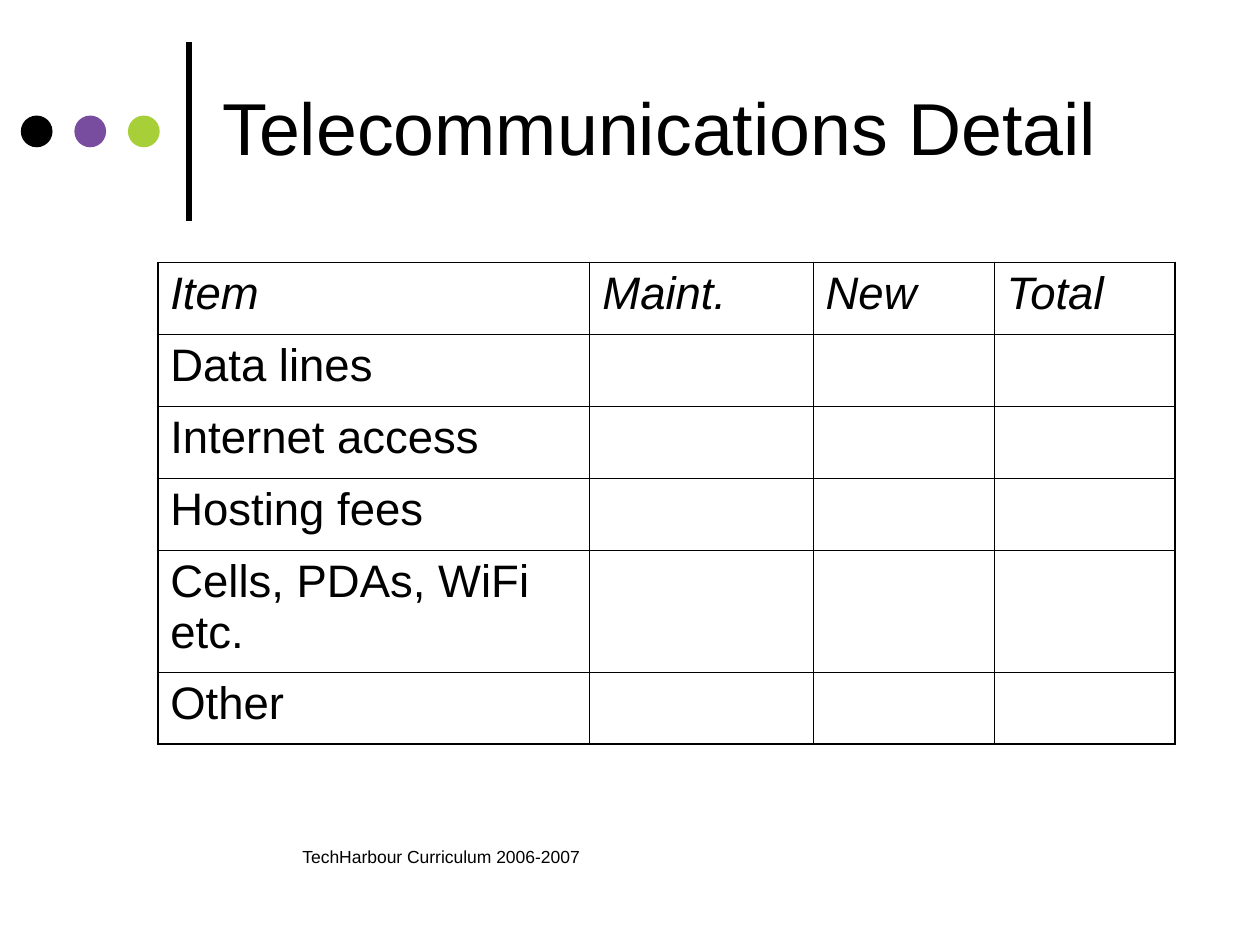
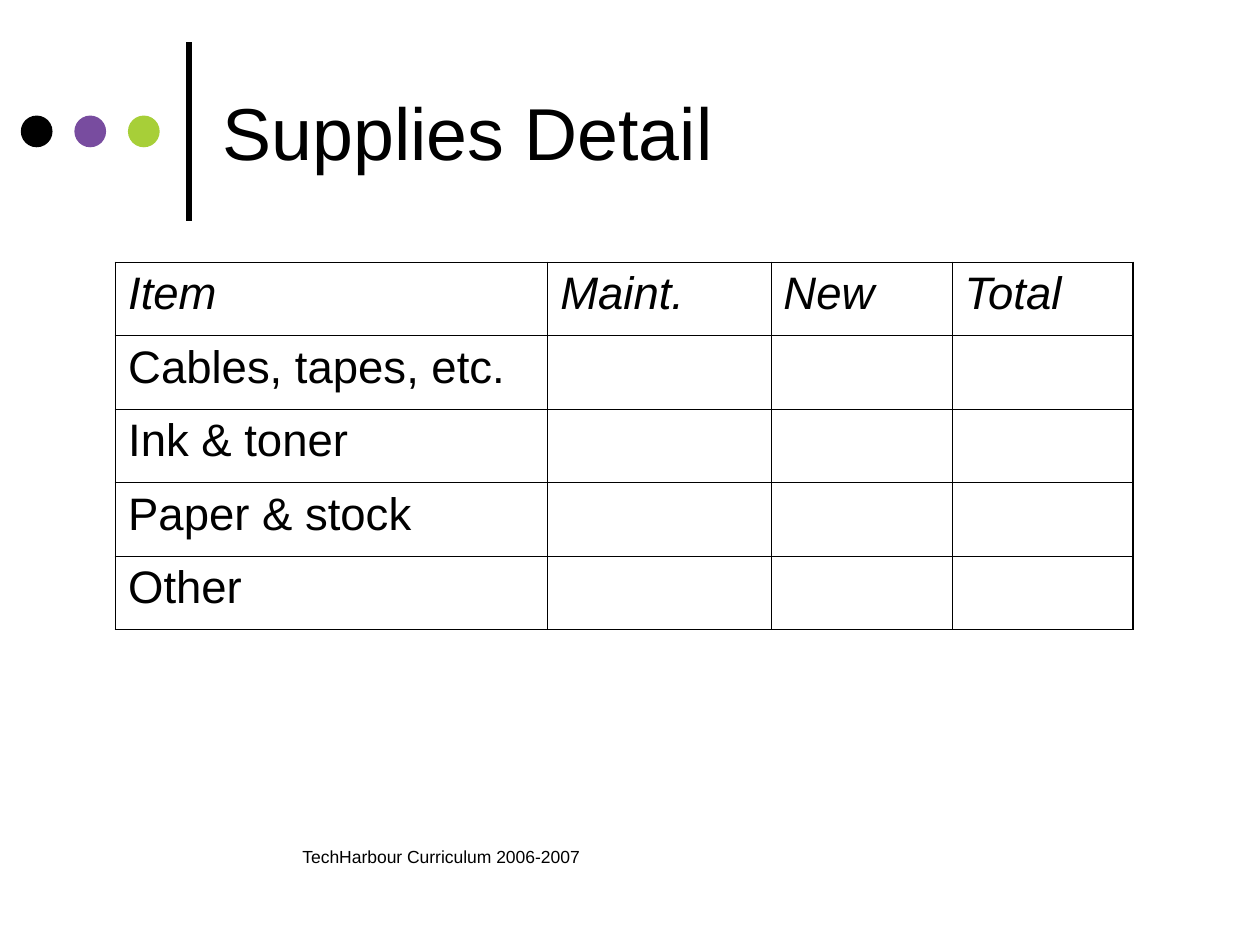
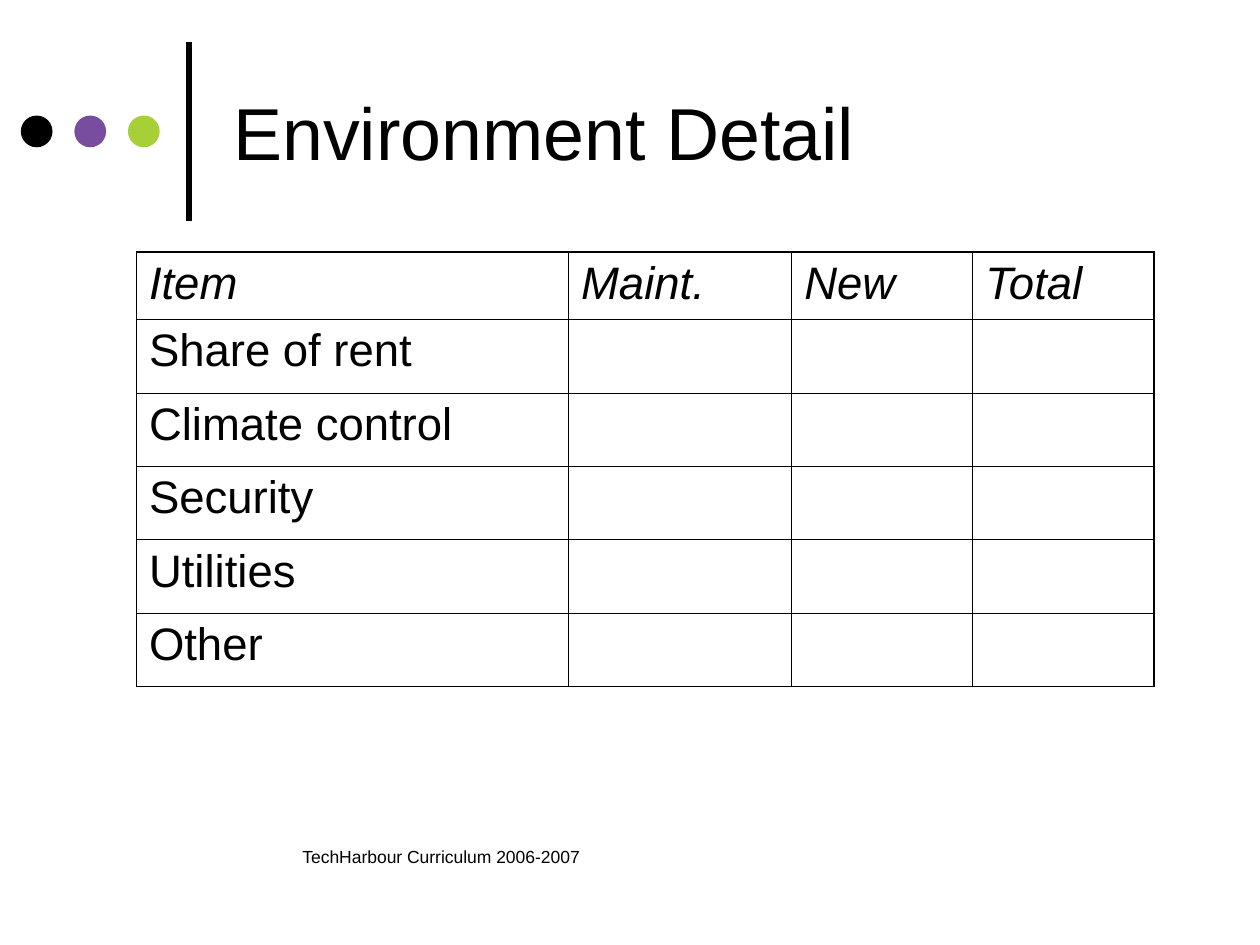
from dataclasses import dataclass

from lxml import etree
from pptx import Presentation
from pptx.dml.color import RGBColor
from pptx.enum.shapes import MSO_CONNECTOR, MSO_SHAPE
from pptx.enum.text import MSO_ANCHOR, PP_ALIGN
from pptx.oxml.ns import qn
from pptx.util import Cm, Pt

LEFT, CENTER = PP_ALIGN.LEFT, PP_ALIGN.CENTER
MIDDLE = MSO_ANCHOR.MIDDLE
OVAL, STRAIGHT = MSO_SHAPE.OVAL, MSO_CONNECTOR.STRAIGHT
TITLE_ONLY = 5


@dataclass(frozen=True)
class Theme:
    font: str = "Arial"
    ink: str = "000000"
    dots: tuple = ("000000", "784C9F", "A7CF38")
    title_size: float = 42
    table_size: float = 26
    footer_size: float = 10
    rule_width: float = 3
    outer_border: float = 1.08
    inner_border: float = 0.45


FOOTER = "TechHarbour Curriculum 2006-2007"
HEADERS = ["Item", "Maint.", "New", "Total"]
COLUMN_WIDTHS = [8.71, 4.5, 3.65, 3.65]

# Title and table boxes are in centimetres; each row is (item, height).
SLIDES = [
    dict(title="Telecommunications Detail", title_box=(4.23, 0.42, 19.47, 4.23),
         table_at=(3.18, 5.29), header_height=1.45,
         rows=[("Data lines", 1.45), ("Internet access", 1.45), ("Hosting fees", 1.45),
               ("Cells, PDAs, WiFi etc.", 2.46), ("Other", 1.45)]),
    dict(title="Supplies Detail", title_box=(4.23, 1.06, 19.26, 3.18),
         table_at=(2.33, 5.29), header_height=1.48,
         rows=[("Cables, tapes, etc.", 1.48), ("Ink & toner", 1.48),
               ("Paper & stock", 1.48), ("Other", 1.48)]),
    dict(title="Environment Detail", title_box=(4.45, 1.06, 19.26, 3.18),
         table_at=(2.75, 5.08), header_height=1.36,
         rows=[("Share of rent", 1.48), ("Climate control", 1.48), ("Security", 1.48),
               ("Utilities", 1.48), ("Other", 1.48)]),
]


def write(tf, text, *, size, font, color, italic=False, align=LEFT, before=0):
    p = tf.paragraphs[0]
    p.alignment = align
    p.space_before = Pt(before)
    r = p.add_run()
    r.text = text
    r.font.size = Pt(size)
    r.font.name = font
    r.font.italic = italic
    r.font.color.rgb = RGBColor.from_string(color)


def set_border(cell, side, width, color):
    """Draw one side (L, R, T or B) of a cell; call in that order, before filling."""
    tcPr = cell._tc.get_or_add_tcPr()
    ln = etree.SubElement(tcPr, qn(f"a:ln{side}"), w=str(Pt(width)))
    fill = etree.SubElement(ln, qn("a:solidFill"))
    etree.SubElement(fill, qn("a:srgbClr"), val=color)


class Deck:
    def __init__(self, theme):
        self.theme = theme
        self.prs = Presentation()
        self.prs.slide_width, self.prs.slide_height = Cm(25.4), Cm(19.05)
        self.s = None

    def new_slide(self):
        self.s = self.prs.slides.add_slide(self.prs.slide_layouts[TITLE_ONLY])
        self.rule()
        self.dots()

    def rule(self):
        line = self.s.shapes.add_connector(STRAIGHT, Cm(3.81), Cm(4.45), Cm(3.81), Cm(0.85))
        line.line.width = Pt(self.theme.rule_width)
        line.line.color.rgb = RGBColor.from_string(self.theme.ink)
        etree.SubElement(line._element.spPr, qn("a:effectLst"))

    def dots(self):
        for i, color in enumerate(self.theme.dots):
            sp = self.s.shapes.add_shape(OVAL, Cm(0.42 + 1.08 * i), Cm(2.33), Cm(0.64), Cm(0.64))
            sp.shadow.inherit = False
            sp.fill.solid()
            sp.fill.fore_color.rgb = RGBColor.from_string(color)
            sp.line.fill.background()

    def title(self, text, box):
        sp = self.s.shapes.title
        sp.left, sp.top, sp.width, sp.height = map(Cm, box)
        sp.text_frame.vertical_anchor = MIDDLE
        write(sp.text_frame, text, size=self.theme.title_size,
              font=self.theme.font, color=self.theme.ink)

    def table(self, at, header_height, rows):
        heights = [header_height] + [height for _, height in rows]
        frame = self.s.shapes.add_table(len(heights), len(HEADERS), *map(Cm, at),
                                        Cm(sum(COLUMN_WIDTHS)), Cm(sum(heights)))
        table = frame.table
        table.first_row = table.horz_banding = False
        for column, width in zip(table.columns, COLUMN_WIDTHS):
            column.width = Cm(width)
        for row, height in zip(table.rows, heights):
            row.height = Cm(height)
        for i, header in enumerate(HEADERS):
            self.cell_text(table.cell(0, i), header, italic=True)
        for i, (item, _) in enumerate(rows, 1):
            self.cell_text(table.cell(i, 0), item)
        self.grid(table)

    def cell_text(self, cell, text, italic=False):
        write(cell.text_frame, text, size=self.theme.table_size, font=self.theme.font,
              color=self.theme.ink, italic=italic, before=6.5)

    def grid(self, table):
        """Give every cell a thin border, heavier on the table's outside, and no fill."""
        last_row, last_col = len(table.rows) - 1, len(table.columns) - 1
        for i, row in enumerate(table.rows):
            for j, cell in enumerate(row.cells):
                outside = {"L": j == 0, "R": j == last_col, "T": i == 0, "B": i == last_row}
                for side, is_outer in outside.items():
                    width = self.theme.outer_border if is_outer else self.theme.inner_border
                    set_border(cell, side, width, self.theme.ink)
                cell.fill.background()

    def footer(self, text):
        tf = self.s.shapes.add_textbox(Cm(4.87), Cm(16.93), Cm(8.04), Cm(1.27)).text_frame
        tf.word_wrap = True
        write(tf, text, size=self.theme.footer_size, font=self.theme.font,
              color=self.theme.ink, align=CENTER)


def main():
    deck = Deck(Theme())
    for content in SLIDES:
        deck.new_slide()
        deck.title(content["title"], content["title_box"])
        deck.table(content["table_at"], content["header_height"], content["rows"])
        deck.footer(FOOTER)
    deck.prs.save("out.pptx")


if __name__ == "__main__":
    main()
